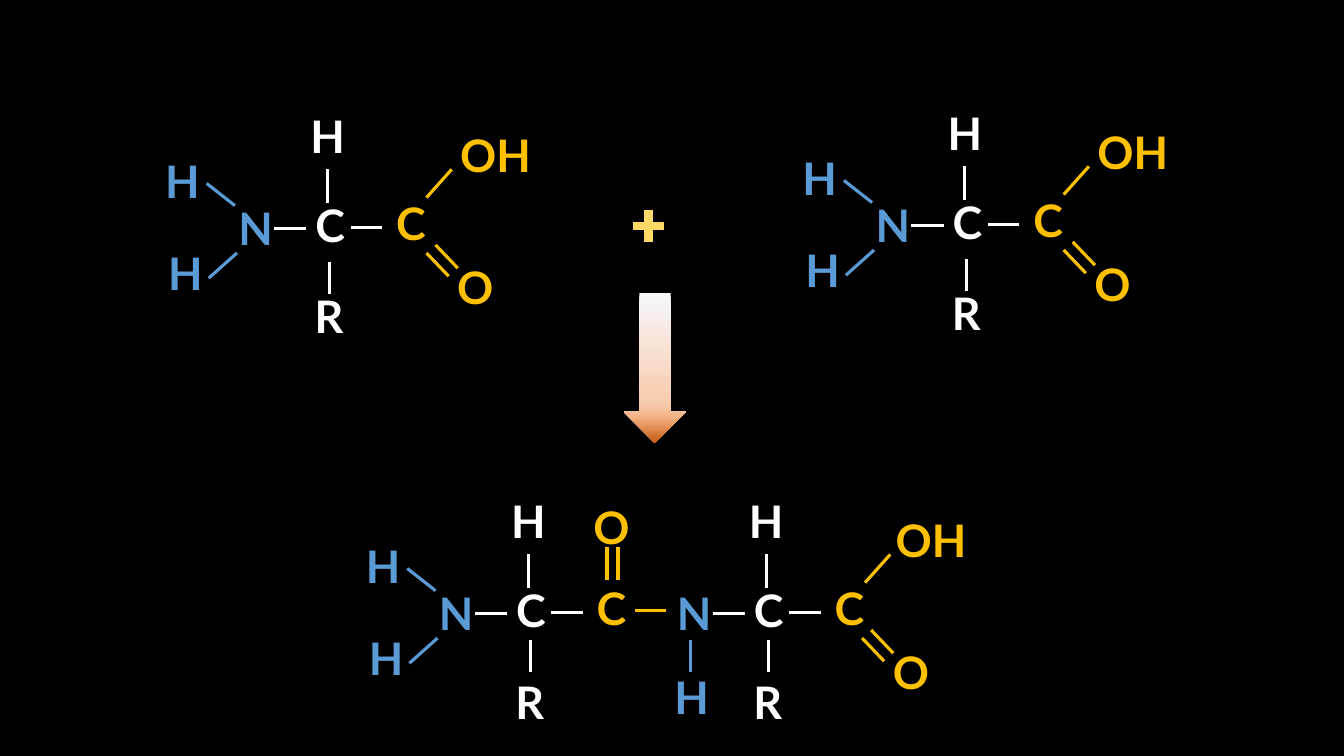
from copy import deepcopy
from dataclasses import dataclass

from lxml import etree
from pptx import Presentation
from pptx.dml.color import RGBColor
from pptx.enum.shapes import MSO_CONNECTOR, MSO_SHAPE
from pptx.enum.text import MSO_AUTO_SIZE, PP_ALIGN
from pptx.oxml.ns import qn
from pptx.util import Inches, Pt

LINE = MSO_CONNECTOR.STRAIGHT
ARROW = MSO_SHAPE.RIGHT_ARROW
GROW = MSO_AUTO_SIZE.SHAPE_TO_FIT_TEXT
MIDDLE = PP_ALIGN.CENTER


@dataclass
class Theme:
    font: str = "Lato"
    size: float = 32
    bond: float = 2.25
    thick: float = 6
    back: str = "000000"
    core: str = "FFFFFF"
    acid: str = "FFC000"
    amine: str = "5B9BD5"
    plus: str = "FFD966"
    fade: tuple = ((0, "F6F8FC"), (0.74, "F8CBAD"), (0.83, "F4B183"), (1, "C55A11"))


WIDTHS = {"C": 0.69, "N": 0.69, "H": 0.51, "R": 0.51, "O": 0.77, "OH": 1.13}


def write(frame, text, font, size, color, bold=True, align=MIDDLE):
    part = frame.paragraphs[0]
    part.alignment = align
    run = part.add_run()
    run.text = text
    run.font.name = font
    run.font.size = Pt(size)
    run.font.bold = bold
    run.font.color.rgb = RGBColor.from_string(color)


class Sketch:
    def __init__(self, slide, theme):
        self.slide = slide
        self.theme = theme
        self.start(0, 0, False)
        fill = slide.background.fill
        fill.solid()
        fill.fore_color.rgb = RGBColor.from_string(theme.back)

    def start(self, left, top, group=True):
        shapes = self.slide.shapes
        self.host = shapes.add_group_shape().shapes if group else shapes
        self.move(left, top)

    def move(self, left, top):
        self.left, self.top = left, top

    def place(self, x, y):
        return Inches(self.left + x), Inches(self.top + y)

    def atom(self, text, x, y, color):
        box = self.host.add_textbox(*self.place(x, y), Inches(WIDTHS[text]), Inches(0.64))
        frame = box.text_frame
        frame.word_wrap = True
        frame.auto_size = GROW
        write(frame, text, font=self.theme.font, size=self.theme.size, color=color)

    def bond(self, x1, y1, x2, y2, color, width=None):
        line = self.host.add_connector(LINE, *self.place(x1, y1), *self.place(x2, y2))
        line.line.color.rgb = RGBColor.from_string(color)
        line.line.width = Pt(width or self.theme.bond)
        etree.SubElement(line._element.spPr, qn("a:effectLst"))

    def arrow(self, x, y, width, height, turn):
        shape = self.host.add_shape(ARROW, *self.place(x, y), Inches(width), Inches(height))
        shape.rotation = turn
        shape.shadow.inherit = False
        shape.line.fill.background()
        fill = shape.fill
        fill.gradient()
        fill.gradient_angle = 0
        stops = shape._element.spPr.find(".//" + qn("a:gsLst"))
        for _ in range(len(self.theme.fade) - len(stops)):
            stops.append(deepcopy(stops[0]))
        for stop, (point, color) in zip(fill.gradient_stops, self.theme.fade):
            stop.position = point
            stop.color.rgb = RGBColor.from_string(color)

    def amine(self):
        color = self.theme.amine
        self.bond(-0.14, -0.12, 0.14, 0.1, color)
        self.atom("H", -0.65, -0.46, color)
        self.bond(0.16, 0.57, -0.12, 0.82, color)
        self.atom("H", -0.62, 0.45, color)

    def center(self, drop):
        color = self.theme.core
        self.atom("N", 0, 0, self.theme.amine)
        self.bond(0.85, 0.33, 0.53, 0.33, color)
        self.atom("C", 0.74, -0.03, color)
        self.bond(1.6, 0.32, 1.29, 0.32, color)
        self.bond(1.06, -0.26, 1.06, 0.07, color)
        self.atom("H", 0.79, -0.91, color)
        self.bond(1.08, drop, 1.08, drop + 0.32, color)
        self.atom("R", 0.82, 0.88, color)

    def acid(self, shift=0):
        color = self.theme.acid
        self.atom("C", 1.54, -0.05, color)
        self.bond(2.29, -0.26, 2.04, 0.02, color)
        self.atom("OH", 2.16 - shift, -0.72, color)
        for x, y in ((2.35, 0.72), (2.26, 0.8)):
            self.bond(x - shift, y, x - shift - 0.22, y - 0.23, color)
        self.atom("O", 2.14 - shift, 0.59, color)

    def link(self):
        color = self.theme.acid
        self.atom("C", 1.54, -0.05, color)
        self.atom("O", 1.5, -0.85, color)
        for x in (1.84, 1.95):
            self.bond(x, -0.01, x, -0.33, color)
        self.bond(2.43, 0.3, 2.12, 0.3, color)

    def amide(self):
        color = self.theme.amine
        self.bond(0.31, 0.59, 0.31, 0.91, color)
        self.atom("H", 0.05, 0.83, color)


def main():
    deck = Presentation()
    deck.slide_width, deck.slide_height = Inches(13.33), Inches(7.5)
    theme = Theme()
    sketch = Sketch(deck.slides.add_slide(deck.slide_layouts[6]), theme)

    for left, top in ((2.19, 1.94), (8.51, 1.91)):
        sketch.start(left, top)
        sketch.amine()
        sketch.center(drop=0.66)
        sketch.acid()

    sketch.start(4.18, 5.76)
    sketch.amine()
    sketch.center(drop=0.59)
    sketch.link()
    sketch.move(6.54, 5.76)
    sketch.center(drop=0.59)
    sketch.amide()
    sketch.acid(shift=0.03)

    sketch.start(0, 0, False)
    sketch.bond(6.59, 2.24, 6.28, 2.24, theme.plus, theme.thick)
    sketch.bond(6.43, 2.08, 6.43, 2.4, theme.plus, theme.thick)
    sketch.arrow(5.75, 3.34, 1.49, 0.62, turn=90)
    deck.save("out.pptx")


if __name__ == "__main__":
    main()
